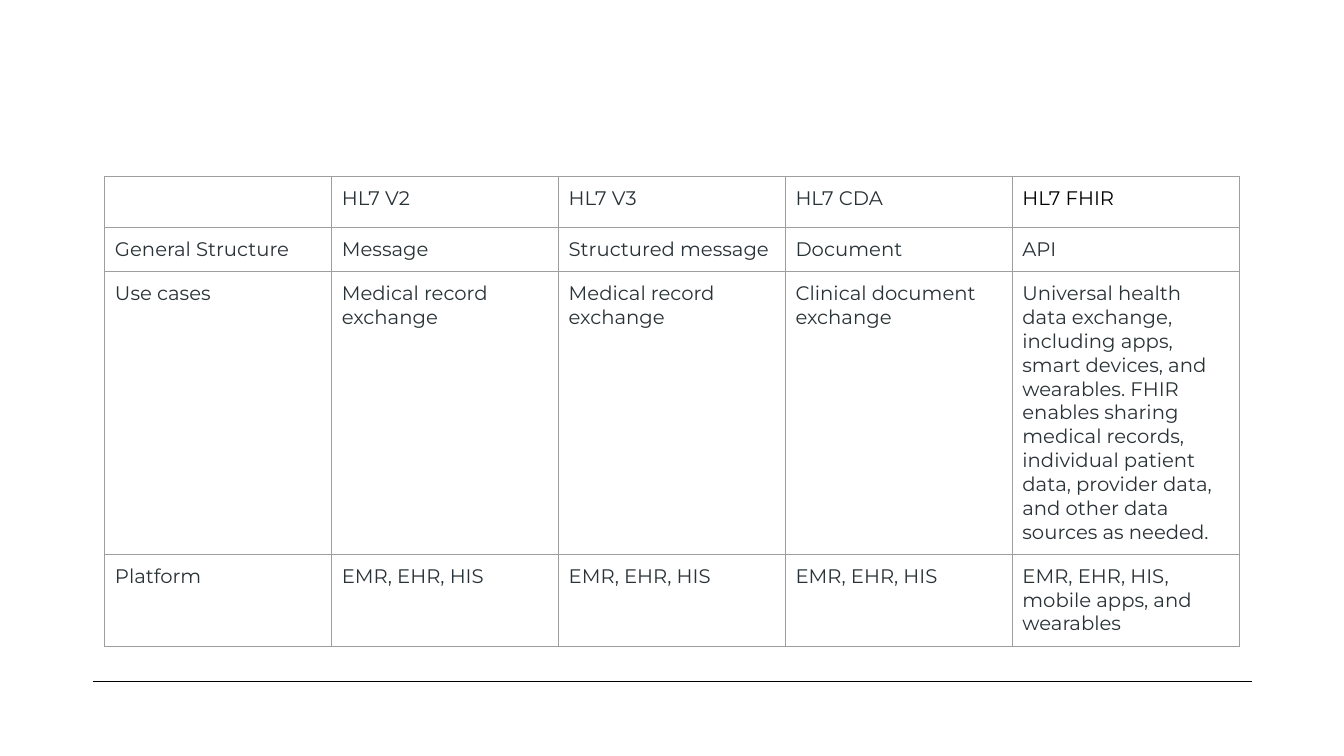
from lxml import etree
from pptx import Presentation
from pptx.dml.color import RGBColor
from pptx.enum import shapes
from pptx.oxml import ns
from pptx.util import Inches, Pt

ROWS = [
    ["", "HL7 V2", "HL7 V3", "HL7 CDA", "HL7 FHIR"],
    ["General Structure", "Message", "Structured message", "Document", "API"],
    ["Use cases", "Medical record exchange", "Medical record exchange",
     "Clinical document exchange",
     "Universal health data exchange, including apps, smart devices, and "
     "wearables. FHIR enables sharing medical records, individual patient "
     "data, provider data, and other data sources as needed."],
    ["Platform", "EMR, EHR, HIS", "EMR, EHR, HIS", "EMR, EHR, HIS",
     "EMR, EHR, HIS, mobile apps, and wearables"],
]
HEIGHTS = [0.49, 0.44, 2.8, 0.91]
COL_W = 2.25
LEFT, TOP = 1.04, 1.75
COLORS = {"text": "293236", "strong": "000000", "grid": "9E9E9E", "rule": "000000"}


def write(cell, words, size=14, font="Montserrat", color="text"):
    run = cell.text_frame.paragraphs[0].add_run()
    run.text = words
    run.font.size = Pt(size)
    run.font.name = font
    run.font.color.rgb = RGBColor.from_string(COLORS[color])


def frame(cell, width=0.75):
    props = cell._tc.get_or_add_tcPr()
    for side in ("lnL", "lnR", "lnT", "lnB"):
        edge = etree.SubElement(props, ns.qn("a:" + side), w=str(Pt(width)))
        fill = etree.SubElement(edge, ns.qn("a:solidFill"))
        etree.SubElement(fill, ns.qn("a:srgbClr"), val=COLORS["grid"])


deck = Presentation()
deck.slide_width, deck.slide_height = Inches(13.33), Inches(7.5)
slide = deck.slides.add_slide(deck.slide_layouts[6])

# Footer rule
rule = slide.shapes.add_connector(
    shapes.MSO_CONNECTOR.STRAIGHT,
    Inches(0.92), Inches(6.76), Inches(12.42), Inches(6.76))
rule.line.color.rgb = RGBColor.from_string(COLORS["rule"])
rule.line.width = Pt(0.75)
etree.SubElement(rule._element.spPr, ns.qn("a:effectLst"))

# Table of standards
count = len(ROWS[0])
table = slide.shapes.add_table(
    len(ROWS), count, Inches(LEFT), Inches(TOP),
    Inches(COL_W * count), Inches(sum(HEIGHTS))).table
table.first_row = table.horz_banding = False
for col in table.columns:
    col.width = Inches(COL_W)

for r, (row, height) in enumerate(zip(ROWS, HEIGHTS)):
    table.rows[r].height = Inches(height)
    for c, words in enumerate(row):
        cell = table.cell(r, c)
        cell.margin_left = cell.margin_right = Inches(0.1)
        cell.margin_top = cell.margin_bottom = Inches(0.1)
        frame(cell)
        cell.fill.background()
        if words:
            write(cell, words, color="strong" if words == "HL7 FHIR" else "text")

deck.save("out.pptx")
